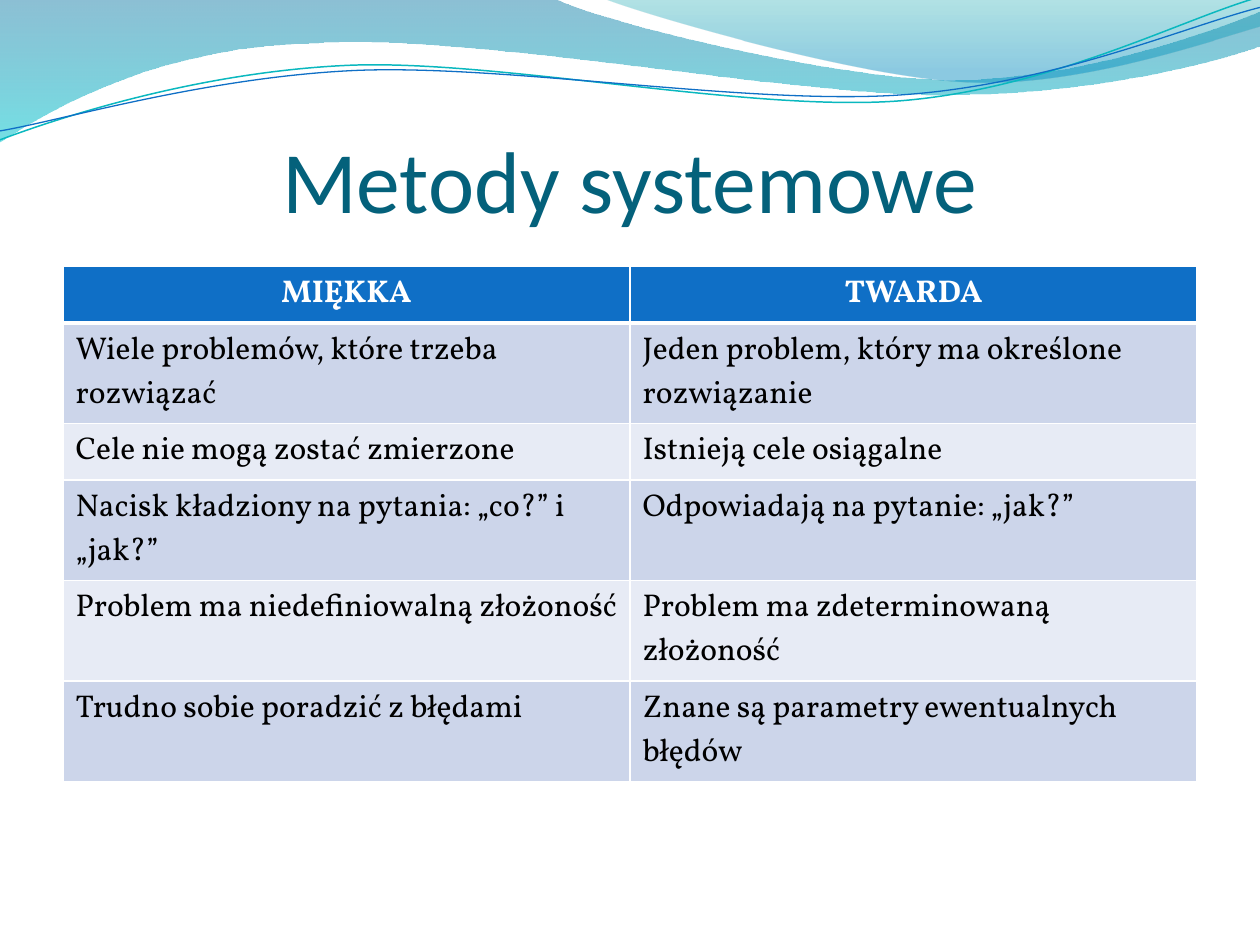
from lxml import etree
from pptx import Presentation
from pptx.dml.color import RGBColor
from pptx.enum.text import MSO_ANCHOR, MSO_AUTO_SIZE, PP_ALIGN
from pptx.oxml.ns import qn
from pptx.util import Cm, Pt

CENTER, LEFT = PP_ALIGN.CENTER, PP_ALIGN.LEFT
MIDDLE, NO_AUTOFIT = MSO_ANCHOR.MIDDLE, MSO_AUTO_SIZE.NONE

TITLE = "Metody systemowe"
ROWS = [
    ("MIĘKKA", "TWARDA"),
    ("Wiele problemów, które trzeba rozwiązać",
     "Jeden problem, który ma określone rozwiązanie"),
    ("Cele nie mogą zostać zmierzone", "Istnieją cele osiągalne"),
    ("Nacisk kładziony na pytania: „co?” i „jak?”",
     "Odpowiadają na pytanie: „jak?”"),
    ("Problem ma niedefiniowalną złożoność",
     "Problem ma zdeterminowaną złożoność"),
    ("Trudno sobie poradzić z błędami",
     "Znane są parametry ewentualnych błędów"),
]

THEME = {
    "title": {"name": "Calibri", "size": Pt(50), "color": "04617B"},
    "header": {"name": "Vollkorn", "size": Pt(18), "color": "FFFFFF", "bold": True},
    "body": {"name": "Vollkorn", "size": Pt(18), "color": "000000", "bold": False},
    "header_fill": "0F6FC6",
    "band_fills": ("CCD5EA", "E7EBF5"),
    "border": "FFFFFF",
}

# Outlines in cm: a single pair is a corner, three pairs are a Bézier segment.
# Gradient stops are (position, colour, opacity in percent).
WAVES = [
    {"start": (0, 0),
     "segments": [
         [(11.18, -0.03)],
         [(12.09, 0.43), (16.87, 1.6), (19.25, 1.6)],
         [(21.67, 1.6), (24.33, 0.66), (25.4, 0.23)],
         [(25.43, 0.91)],
         [(24.97, 1.12), (22.1, 1.93), (18.95, 1.91)],
         [(15.8, 1.91), (9.7, 0.71), (6.53, 0.86)],
         [(3.25, 0.91), (1.17, 2.11), (-0.03, 2.87)],
         [(0, 0)]],
     "gradient": [(0, "0074A1", 45), (1, "00C6CF", 55)]},
    {"start": (12.17, -0.03),
     "segments": [
         [(12.93, 0.28), (17.32, 1.57), (19.53, 1.65)],
         [(21.74, 1.75), (24.41, 0.81), (25.4, 0.53)],
         [(25.4, 0)],
         [(12.17, -0.03)]],
     "gradient": [(0, "00A1A9", 30), (0.8, "008BBF", 45)]},
    {"start": (-0.05, 2.22),
     "segments": [
         [(1.19, 1.82), (4.02, 1.04), (7.05, 1.05)],
         [(10.05, 1.07), (15.02, 2.37), (18.08, 2.29)],
         [(21.13, 2.2), (23.87, 0.91), (25.41, 0.55)]],
     "rotation": -2.7, "line": ("0AB8BF", 0.85)},
    {"start": (-0.04, 2.04),
     "segments": [
         [(1.16, 1.9), (4.18, 1.15), (7.2, 1.16)],
         [(10.25, 1.18), (15.13, 2.25), (18.18, 2.17)],
         [(21.21, 2.1), (23.93, 1.06), (25.45, 0.75)]],
     "rotation": -2.7, "line": ("0F6FC6", 0.75)},
]


def rgb(color):
    return RGBColor.from_string(color)


def format_text(paragraph, style, alignment):
    paragraph.alignment = alignment
    font = paragraph.runs[0].font
    for name, value in style.items():
        if name == "color":
            font.color.rgb = rgb(value)
        else:
            setattr(font, name, value)


def bend_segments(shape, segments):
    """Merge each run of three straight steps of a Bézier segment into one curve."""
    steps = iter(list(shape.element.iter(qn("a:lnTo"))))
    for segment in segments:
        first, *rest = [next(steps) for _ in segment]
        if rest:
            first.tag = qn("a:cubicBezTo")
            for step in rest:
                first.append(step[0])
                step.getparent().remove(step)


def fill_gradient(fill, stops):
    fill.gradient()
    fill.gradient_angle = 270
    for stop, (position, color, _) in zip(fill.gradient_stops, stops):
        stop.position = position
        stop.color.rgb = rgb(color)
    for color_node, (_, _, opacity) in zip(
            fill._xPr.iter(qn("a:srgbClr")), stops):
        etree.SubElement(color_node, qn("a:alpha"), val=str(opacity * 1000))


def add_wave(slide, wave):
    points = [(Cm(x), Cm(y)) for segment in wave["segments"] for x, y in segment]
    builder = slide.shapes.build_freeform(*[Cm(value) for value in wave["start"]])
    builder.add_line_segments(points, close="gradient" in wave)
    shape = builder.convert_to_shape()
    bend_segments(shape, wave["segments"])
    shape.shadow.inherit = False
    shape.rotation = wave.get("rotation", 0)
    if "gradient" in wave:
        fill_gradient(shape.fill, wave["gradient"])
        shape.line.fill.background()
    else:
        color, width = wave["line"]
        shape.fill.background()
        shape.line.color.rgb = rgb(color)
        shape.line.width = Pt(width)


def add_title(slide):
    title = slide.shapes.title
    box = {"left": Cm(1.27), "top": Cm(1.95), "width": Cm(22.86), "height": Cm(3.17)}
    for name, value in box.items():
        setattr(title, name, value)
    frame = title.text_frame
    frame.text = TITLE
    frame_format = {"margin_left": 0, "margin_top": Cm(0.13), "margin_right": 0,
                    "margin_bottom": 0, "vertical_anchor": MIDDLE,
                    "auto_size": NO_AUTOFIT, "word_wrap": True}
    for name, value in frame_format.items():
        setattr(frame, name, value)
    format_text(frame.paragraphs[0], THEME["title"], CENTER)
    # Keep the title in front of the waves.
    title.element.getparent().append(title.element)


def add_borders(cell, widths):
    properties = cell._tc.get_or_add_tcPr()
    for side, width in widths.items():
        line = etree.SubElement(properties, qn(f"a:ln{side}"), w=str(Pt(width)))
        fill = etree.SubElement(line, qn("a:solidFill"))
        etree.SubElement(fill, qn("a:srgbClr"), val=THEME["border"])


def add_methods_table(slide):
    row_height = Cm(1.03)
    table = slide.shapes.add_table(
        len(ROWS), len(ROWS[0]), Cm(1.27), Cm(5.37),
        Cm(22.86), row_height * len(ROWS)).table
    for row_index, texts in enumerate(ROWS):
        is_header = row_index == 0
        color = (THEME["header_fill"] if is_header
                 else THEME["band_fills"][(row_index - 1) % 2])
        widths = {"L": 1, "R": 1, "T": 3 if row_index == 1 else 1,
                  "B": 3 if is_header else 1}
        for column_index, text in enumerate(texts):
            cell = table.cell(row_index, column_index)
            cell.text = text
            format_text(cell.text_frame.paragraphs[0],
                        THEME["header" if is_header else "body"],
                        CENTER if is_header else LEFT)
            add_borders(cell, widths)
            cell.fill.solid()
            cell.fill.fore_color.rgb = rgb(color)


def main():
    presentation = Presentation()
    presentation.slide_width, presentation.slide_height = Cm(25.4), Cm(19.05)
    title_only = presentation.slide_layouts[5]
    slide = presentation.slides.add_slide(title_only)
    for wave in WAVES:
        add_wave(slide, wave)
    add_title(slide)
    add_methods_table(slide)
    presentation.save("out.pptx")


if __name__ == "__main__":
    main()
